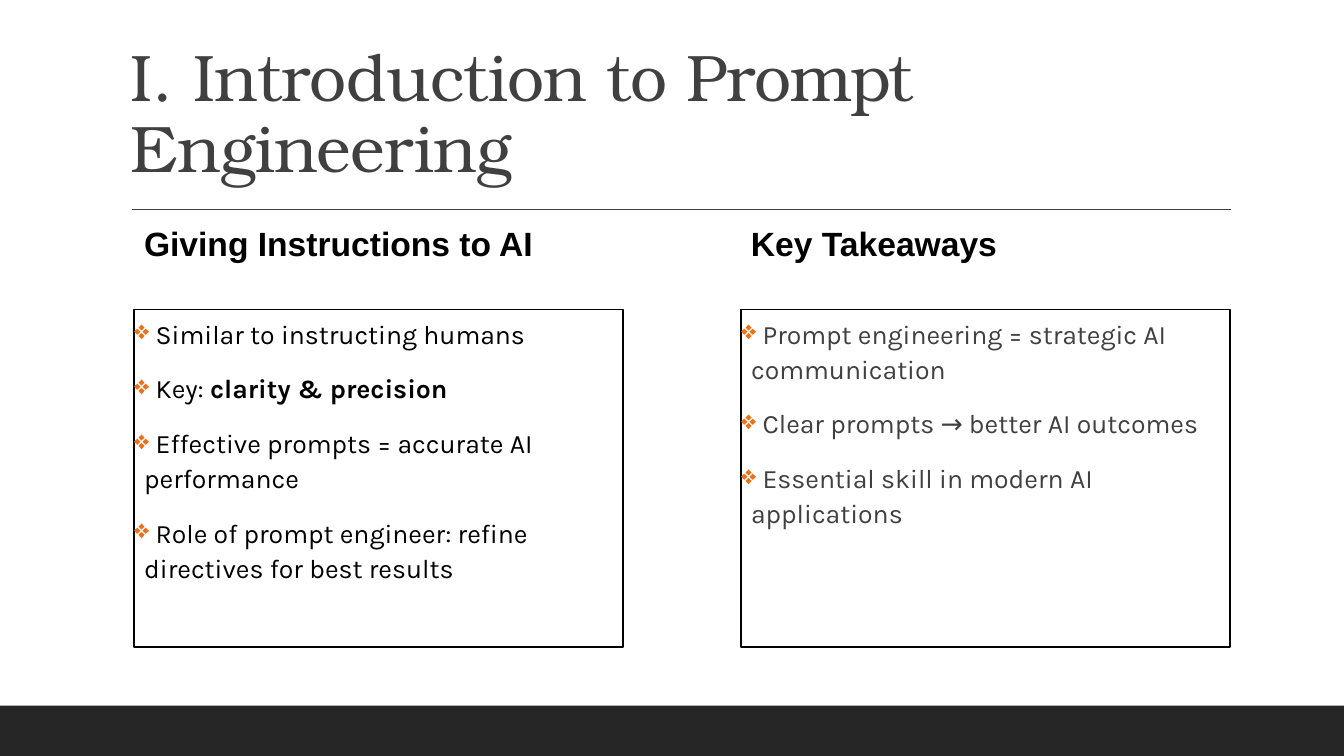
"""Build the prompt engineering introduction slide."""
from dataclasses import dataclass

from lxml import etree
from pptx import Presentation, util as u
from pptx.dml.color import RGBColor
from pptx.enum import shapes, text
from pptx.oxml import ns

WIDTH, HEIGHT = u.Inches(13.33), u.Inches(7.5)


@dataclass(frozen=True)
class Theme:
    """Colours, fonts and type sizes of the slide."""
    ink: str = "000000"
    grey: str = "404040"
    paper: str = "FFFFFF"
    footer: str = "262626"
    accent: str = "EC7016"
    title_font: str = "TeX Gyre Bonum"
    heading_font: str = "Arial"
    body_font: str = "Karla"
    title_size: int = 47
    heading_size: int = 24
    body_size: int = 19


THEME = Theme()

COLUMNS = [
    (9.98, "Giving Instructions to AI", THEME.ink, [
        [(" Similar to instructing humans", False)],
        [(" Key: ", False), ("clarity & precision", True)],
        [(" Effective prompts = accurate AI performance", False)],
        [(" Role of prompt engineer: refine directives for best results", False)],
    ]),
    (55.14, "Key Takeaways", THEME.grey, [
        [(" Prompt engineering = strategic AI communication", False)],
        [(" Clear prompts → better AI outcomes", False)],
        [(" Essential skill in modern AI applications", False)],
    ]),
]
COLUMN_WIDTH = 36.38


def place(left, top, width, height):
    """Turn percentages of the slide into lengths."""
    return (int(WIDTH * left / 100), int(HEIGHT * top / 100),
            int(WIDTH * width / 100), int(HEIGHT * height / 100))


def apply(target, values):
    """Set each named attribute on the target."""
    for name, value in values.items():
        setattr(target, name, value)


def add_run(paragraph, words, font, size, color, bold=False):
    """Append a formatted run to a paragraph."""
    run = paragraph.add_run()
    run.text = words
    apply(run.font, {"name": font, "size": u.Pt(size), "bold": bold})
    run.font.color.rgb = RGBColor.from_string(color)
    return run


def add_rectangle(slide, box, fill, outline=None):
    """Draw a flat rectangle with an optional outline."""
    shape = slide.shapes.add_shape(shapes.MSO_SHAPE.RECTANGLE, *place(*box))
    shape.shadow.inherit = False
    shape.fill.solid()
    shape.fill.fore_color.rgb = RGBColor.from_string(fill)
    if outline:
        shape.line.color.rgb = RGBColor.from_string(outline)
        shape.line.width = u.Pt(1.25)
    else:
        shape.line.fill.background()
    return shape


def add_rule(slide, left, right, top, color):
    """Draw a thin horizontal line."""
    x, y, width, _ = place(left, top, right - left, 0)
    rule = slide.shapes.add_connector(shapes.MSO_CONNECTOR.STRAIGHT, x, y, x + width, y)
    rule.line.color.rgb = RGBColor.from_string(color)
    rule.line.width = u.Pt(1)
    etree.SubElement(rule.element.spPr, ns.qn("a:effectLst"))


def add_label(slide, box, words, style, frame_format):
    """Add a text box with one paragraph and return its run."""
    frame = slide.shapes.add_textbox(*place(*box)).text_frame
    apply(frame, {"word_wrap": True, **frame_format})
    return add_run(frame.paragraphs[0], words, *style)


def add_title(slide, words):
    """Add the bottom-anchored slide title."""
    run = add_label(slide, (9, 4.13, 82.52, 21.2), words,
                    (THEME.title_font, THEME.title_size, THEME.grey),
                    {"vertical_anchor": text.MSO_ANCHOR.BOTTOM})
    run.font.element.set("spc", "-50") if hasattr(run.font, "element") else \
        run._r.get_or_add_rPr().set("spc", "-50")
    return run


def add_bullet(paragraph, symbol, color):
    """Give a paragraph a coloured hanging bullet."""
    properties = paragraph._p.get_or_add_pPr()
    indent = u.Inches(0.1)
    properties.set("marL", str(indent))
    properties.set("indent", str(-indent))
    bullet_color = etree.SubElement(properties, ns.qn("a:buClr"))
    etree.SubElement(bullet_color, ns.qn("a:srgbClr"), val=color)
    etree.SubElement(properties, ns.qn("a:buChar"), char=symbol)


def add_bullet_box(slide, box, points, color):
    """Add an outlined box that lists bullet points."""
    frame = add_rectangle(slide, box, THEME.paper, THEME.ink).text_frame
    apply(frame, {"word_wrap": True, "margin_left": 0, "margin_right": 0,
                  "vertical_anchor": text.MSO_ANCHOR.TOP})
    for index, runs in enumerate(points):
        paragraph = frame.add_paragraph() if index else frame.paragraphs[0]
        apply(paragraph, {"alignment": text.PP_ALIGN.LEFT, "line_spacing": 1.1,
                          "space_before": u.Pt(12), "space_after": u.Pt(2)})
        add_bullet(paragraph, "❖", THEME.accent)
        for words, bold in runs:
            add_run(paragraph, words, THEME.body_font, THEME.body_size, color, bold)


def add_column(slide, left, heading, color, points):
    """Add a bullet box with its heading above."""
    add_bullet_box(slide, (left, 40.93, COLUMN_WIDTH, 44.67), points, color)
    add_label(slide, (left, 28.8, COLUMN_WIDTH, 6.67), heading,
              (THEME.heading_font, THEME.heading_size, THEME.ink, True),
              {"auto_size": text.MSO_AUTO_SIZE.SHAPE_TO_FIT_TEXT})


def main():
    """Build and save the slide."""
    presentation = Presentation()
    apply(presentation, {"slide_width": WIDTH, "slide_height": HEIGHT})
    slide = presentation.slides.add_slide(presentation.slide_layouts[6])
    add_rectangle(slide, (0, 93.33, 100, 6.67), THEME.footer)
    add_rule(slide, 9.83, 91.6, 27.73, THEME.grey)
    title = add_title(slide, "I. Introduction to Prompt Engineering")
    title._parent.line_spacing = 0.9
    for column in COLUMNS:
        add_column(slide, *column)
    presentation.save("out.pptx")


if __name__ == "__main__":
    main()
